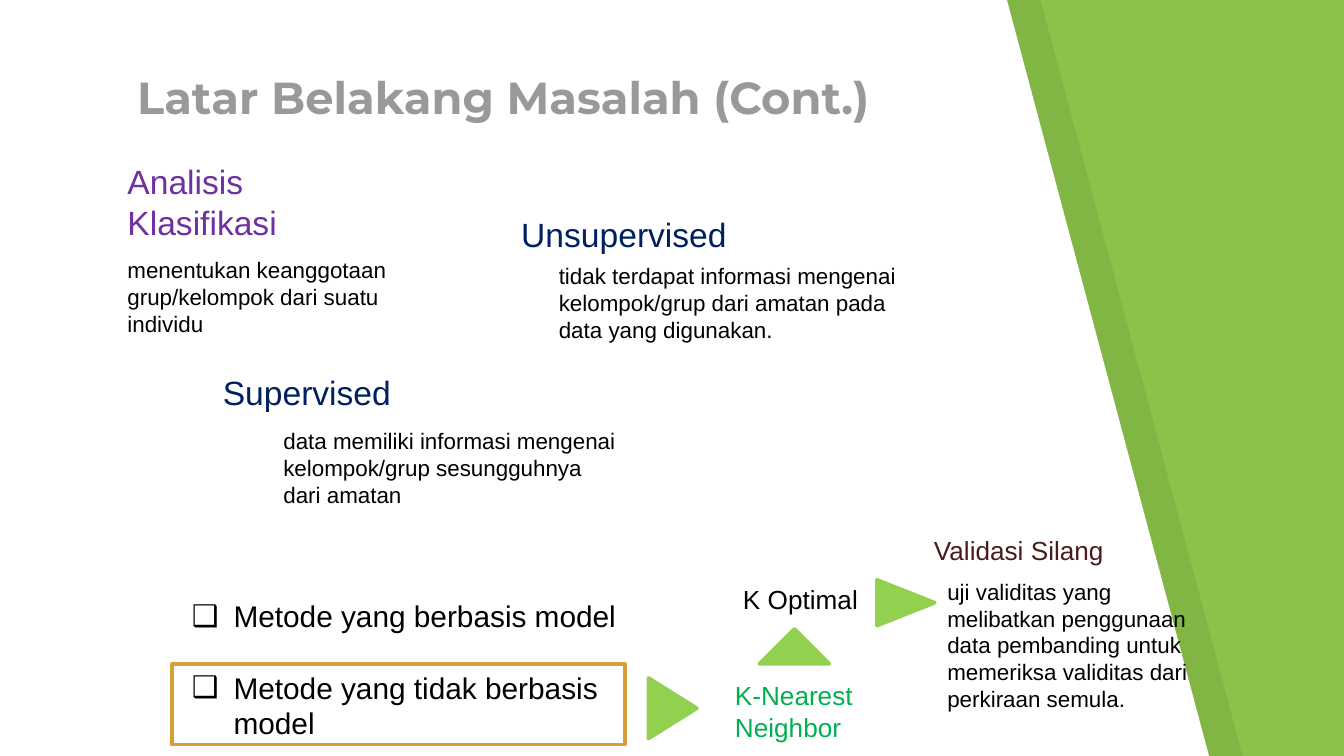
from lxml import etree
from pptx import Presentation
from pptx import util as u
from pptx.dml import color as c
from pptx.enum import shapes, text
from pptx.oxml import ns

COLORS = {
    "green": "8BC34A", "white": "FFFFFF", "black": "000000", "gray": "999999",
    "purple": "7030A0", "navy": "002060", "lime": "92D050", "gold": "D89F39",
    "emerald": "00B050", "maroon": "4B1A1A",
}


def rgb(name):
    return c.RGBColor.from_string(COLORS[name])


def add_xml(parent, tag, **attributes):
    return etree.SubElement(parent, ns.qn(tag), attributes)


def write(para, words, size=12, color="black", font="Arial", bold=False):
    span = para.add_run()
    span.text = words
    span.font.size = u.Pt(size)
    span.font.name = font
    span.font.bold = bold
    span.font.color.rgb = rgb(color)


def add_text(page, words, left, top, width, height, wrap=True, **style):
    box = page.shapes.add_textbox(*map(u.Inches, (left, top, width, height)))
    box.text_frame.word_wrap = wrap
    write(box.text_frame.paragraphs[0], words, **style)
    return box


def paint(shape, fill, line=None):
    shape.shadow.inherit = False
    shape.fill.solid()
    shape.fill.fore_color.rgb = rgb(fill)
    if line:
        shape.line.color.rgb = rgb(line)
        shape.line.width = u.Pt(2)
    else:
        shape.line.fill.background()


def add_panel(page, left, top, fill, alpha=None):
    corners = [(0, 0), (0, 5.65), (9, 5.65), (7.49, 0)]
    points = [(u.Inches(left + x), u.Inches(top + y)) for x, y in corners]
    builder = page.shapes.build_freeform(*points[0])
    builder.add_line_segments(points[1:], close=True)
    panel = builder.convert_to_shape()
    paint(panel, fill)
    if alpha:
        tone = panel.fill._xPr.find(".//" + ns.qn("a:srgbClr"))
        add_xml(tone, "a:alpha", val=str(alpha * 1000))


def add_title(page, words, left, top, width, height):
    title = page.shapes.title
    page.shapes._spTree.append(title._element)
    title.left, title.top = u.Inches(left), u.Inches(top)
    title.width, title.height = u.Inches(width), u.Inches(height)
    frame = title.text_frame
    frame.auto_size = text.MSO_AUTO_SIZE.NONE
    frame.vertical_anchor = text.MSO_ANCHOR.BOTTOM
    frame.margin_top = frame.margin_bottom = u.Inches(0.1)
    para = frame.paragraphs[0]
    para.alignment = text.PP_ALIGN.LEFT
    write(para, words, size=24, color="gray", font="Montserrat", bold=True)


def add_concept(page, left, top, heading, body, heading_box, body_box,
                color="navy", size=18):
    width, height = heading_box
    add_text(page, heading, left, top, width, height, size=size, color=color)
    x, y, width, height = body_box
    add_text(page, body, left + x, top + y, width, height)


def add_methods(page, left, top, methods):
    frame_box = page.shapes.add_shape(
        shapes.MSO_SHAPE.RECTANGLE,
        *map(u.Inches, (left, top + 0.54, 3.37, 0.6)))
    paint(frame_box, "white", "gold")
    box = page.shapes.add_textbox(
        *map(u.Inches, (left + 0.05, top, 3.37, 1.18)))
    frame = box.text_frame
    frame.word_wrap = True
    for index, method in enumerate(methods):
        para = frame.add_paragraph() if index else frame.paragraphs[0]
        if index:
            para.space_before = u.Pt(19)
        props = para._p.get_or_add_pPr()
        props.set("marL", str(u.Inches(0.31)))
        props.set("indent", str(u.Inches(-0.31)))
        tone = add_xml(props, "a:buClr")
        add_xml(tone, "a:srgbClr", val=COLORS["black"])
        add_xml(props, "a:buFont", typeface="Arial")
        add_xml(props, "a:buChar", char="❑")
        write(para, method, size=16)


def add_arrow(page, left, top, width, height, rotation=0):
    arrow = page.shapes.add_shape(
        shapes.MSO_SHAPE.ISOSCELES_TRIANGLE,
        *map(u.Inches, (left, top, width, height)))
    arrow.rotation = rotation
    paint(arrow, "lime", "lime")


def add_neighbor_flow(page, left, top):
    add_arrow(page, left, top + 0.82, 0.45, 0.36, rotation=90)
    add_text(page, "K-Nearest Neighbor", left + 0.59, top + 0.74, 1.13, 0.57,
             size=14, color="emerald")
    add_arrow(page, left + 0.87, top + 0.41, 0.52, 0.26)
    add_text(page, "K Optimal", left + 0.65, top + 0.02, 1.06, 0.34,
             wrap=False, size=14)
    add_arrow(page, left + 1.79, top, 0.34, 0.43, rotation=90)


def main():
    deck = Presentation()
    deck.slide_width = u.Inches(10)
    deck.slide_height = deck.slide_width * 9 // 16
    page = deck.slides.add_slide(deck.slide_layouts[5])
    page.background.fill.solid()
    page.background.fill.fore_color.rgb = rgb("green")

    add_panel(page, 0.25, -0.01, "black", alpha=7)
    add_panel(page, 0, -0.01, "white")
    add_title(page, "Latar Belakang Masalah (Cont.)", 0.92, 0.49, 5.82, 0.53)
    add_concept(page, 0.85, 1.15, "Analisis Klasifikasi",
                "menentukan keanggotaan grup/kelompok dari suatu individu",
                (1.51, 0.71), (0, 0.71, 2.56, 0.71), color="purple")
    add_concept(page, 3.78, 1.54, "Unsupervised",
                "tidak terdapat informasi mengenai kelompok/grup dari amatan "
                "pada data yang digunakan.",
                (1.88, 0.4), (0.28, 0.36, 2.97, 0.71))
    add_concept(page, 1.56, 2.72, "Supervised",
                "data memiliki informasi mengenai kelompok/grup sesungguhnya "
                "dari amatan",
                (1.88, 0.4), (0.45, 0.41, 2.69, 0.71))
    add_methods(page, 1.28, 4.4, ["Metode yang berbasis model",
                                  "Metode yang tidak berbasis model"])
    add_neighbor_flow(page, 4.78, 4.27)
    add_concept(page, 6.85, 3.93, "Validasi Silang",
                "uji validitas yang melibatkan penggunaan data pembanding "
                "untuk memeriksa validitas dari perkiraan semula.",
                (1.52, 0.34), (0.1, 0.32, 2.21, 1.11),
                color="maroon", size=14)
    deck.save("out.pptx")


if __name__ == "__main__":
    main()
